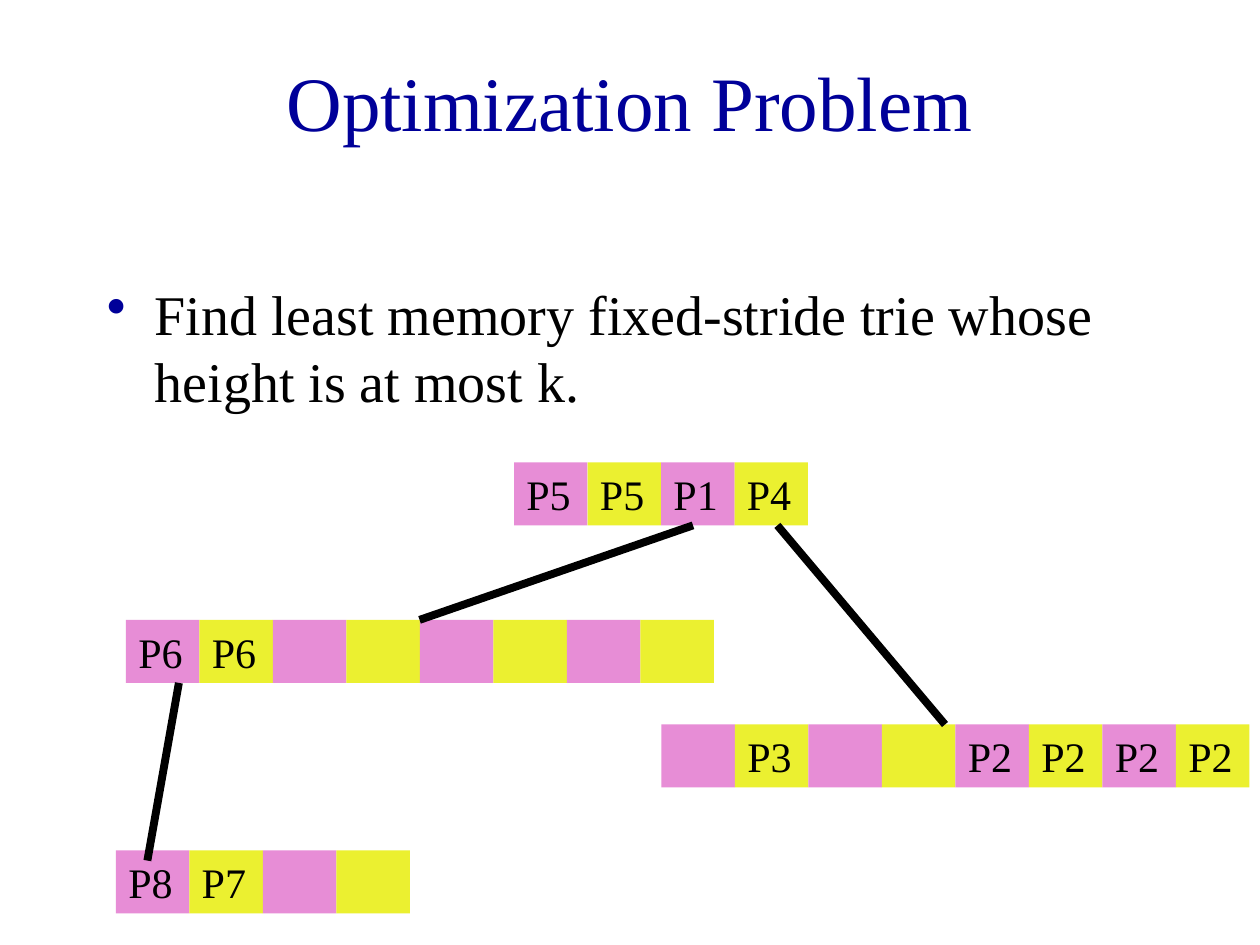
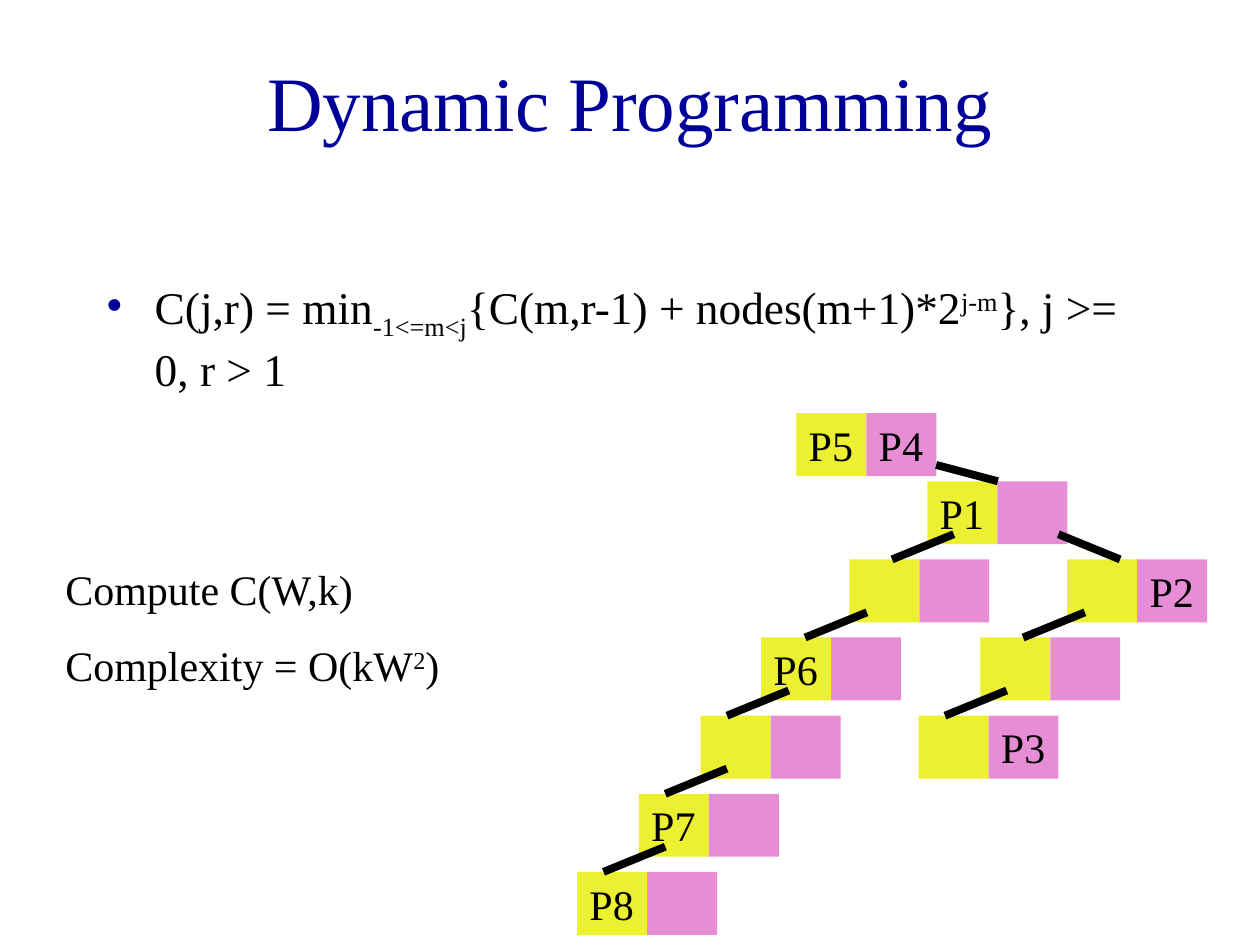
from dataclasses import dataclass

from lxml.etree import SubElement
from pptx import Presentation
from pptx.dml.color import RGBColor
from pptx.enum.shapes import MSO_CONNECTOR, MSO_SHAPE
from pptx.enum.text import MSO_ANCHOR, PP_ALIGN
from pptx.oxml.ns import qn
from pptx.util import Inches, Pt


@dataclass(frozen=True)
class Theme:
    font: str = "Times New Roman"
    navy: str = "000099"
    black: str = "000000"
    pink: str = "E78DD6"
    yellow: str = "EBF030"
    title: float = 44
    body: float = 32
    formula: float = 25.9
    label: float = 24
    line: float = 4.5


def write(frame, *paras, size, color, font, align=PP_ALIGN.LEFT,
          anchor=MSO_ANCHOR.TOP, before=0, bullet=None):
    """Fill a frame; a paragraph is a string or a list of (text, baseline %)."""
    frame.word_wrap = True
    frame.vertical_anchor = anchor
    for i, runs in enumerate(paras):
        para = frame.add_paragraph() if i else frame.paragraphs[0]
        para.alignment = align
        para.space_before = Pt(before)
        if bullet:
            mark(para, bullet)
        for text, base in [(runs, 0)] if isinstance(runs, str) else runs:
            run = para.add_run()
            run.text = text
            run.font.name = font
            run.font.size = Pt(size)
            run.font.color.rgb = RGBColor.from_string(color)
            if base:
                run.font._element.set("baseline", str(base * 1000))


def mark(para, color):
    """Give a paragraph a hanging bullet in the given colour."""
    props = para._p.get_or_add_pPr()
    props.set("marL", str(Inches(0.38)))
    props.set("indent", str(-Inches(0.38)))
    tint = SubElement(props, qn("a:buClr"))
    SubElement(tint, qn("a:srgbClr"), val=color)
    SubElement(props, qn("a:buChar"), char="•")


class Deck:
    def __init__(self, theme):
        self.theme = theme
        self.file = Presentation()
        self.file.slide_width = Inches(10)
        self.file.slide_height = Inches(7.5)
        self.slide = None

    def page(self, title):
        self.slide = self.file.slides.add_slide(self.file.slide_layouts[6])
        self.text((0.75, 0.17, 8.5, 1.25), title, size=self.theme.title,
                  color=self.theme.navy, align=PP_ALIGN.CENTER,
                  anchor=MSO_ANCHOR.MIDDLE)

    def text(self, box, *paras, color=None, **style):
        area = self.slide.shapes.add_textbox(*map(Inches, box))
        write(area.text_frame, *paras, font=self.theme.font,
              color=color or self.theme.black, **style)

    def point(self, text, height, size, before):
        self.text((0.75, 2.17, 8.5, height), text, size=size, before=before,
                  bullet=self.theme.navy)

    def cell(self, left, top, width, fill, label):
        rect = self.slide.shapes.add_shape(
            MSO_SHAPE.RECTANGLE, *map(Inches, (left, top, width, 0.5)))
        rect.shadow.inherit = False
        rect.fill.solid()
        rect.fill.fore_color.rgb = RGBColor.from_string(fill)
        rect.line.fill.background()
        if label:
            write(rect.text_frame, label, size=self.theme.label, before=15,
                  color=self.theme.black, font=self.theme.font)

    def node(self, left, top, width, fills, labels):
        """Draw a trie node: touching cells whose fills alternate."""
        for i, label in enumerate(labels):
            self.cell(left + i * width, top, width, fills[i % 2], label)

    def link(self, start, end):
        line = self.slide.shapes.add_connector(
            MSO_CONNECTOR.STRAIGHT, *map(Inches, (*start, *end)))
        line.line.color.rgb = RGBColor.from_string(self.theme.black)
        line.line.width = Pt(self.theme.line)
        SubElement(line._element.spPr, qn("a:effectLst"))


def problem(deck):
    theme = deck.theme
    deck.page("Optimization Problem")
    deck.point("Find least memory fixed-stride trie whose height is at most k.",
               4.5, theme.body, 8)
    for left, top, labels in (
        (4.08, 3.67, ["P5", "P5", "P1", "P4"]),
        (1, 4.92, ["P6", "P6"] + [""] * 6),
        (5.25, 5.75, ["", "P3", "", ""] + ["P2"] * 4),
        (0.92, 6.75, ["P8", "P7", "", ""]),
    ):
        deck.node(left, top, 7 / 12, (theme.pink, theme.yellow), labels)
    deck.link((6.17, 4.17), (7.5, 5.75))
    deck.link((5.5, 4.17), (3.33, 4.92))
    deck.link((1.42, 5.42), (1.17, 6.83))


def dynamic(deck):
    theme = deck.theme
    deck.page("Dynamic Programming")
    deck.point([("C(j,r) = min", 0), ("-1<=m<j", -25),
                ("{C(m,r-1) + nodes(m+1)*2", 0), ("j-m", 30),
                ("}, j >= 0, r > 1", 0)], 1.08, theme.formula, 7)

    # Level, left edge, labels, where the link lands, and its run from the parent
    nodes = (
        (1, 8.47, ("", "P2"), 0.42, 0.49),
        (1, 6.74, ("", ""), 0.34, -0.49),
        (2, 7.78, ("", ""), 0.34, -0.49),
        (2, 6.04, ("P6", ""), 0.35, -0.49),
        (3, 7.29, ("", "P3"), 0.21, -0.49),
        (3, 5.56, ("", ""), 0.21, -0.49),
        (4, 5.07, ("P7", ""), 0.21, -0.49),
        (5, 4.58, ("P8", ""), 0.21, -0.49),
    )
    top, step, width = 3.82, 0.62, 5 / 9
    fills = theme.yellow, theme.pink
    deck.node(6.32, 3.28, width, fills, ("P5", "P4"))
    deck.node(7.36, top, width, fills, ("P1", ""))
    for level, left, labels, _, _ in nodes:
        deck.node(left, top + level * step, width, fills, labels)
    deck.link((7.43, 3.69), (7.92, top))
    for level, left, _, land, run in nodes:
        x, y = left + land, top + level * step
        deck.link((x - run, y - 0.2), (x, y))

    deck.text((0.42, 4.42, 4.5, 1.11), "Compute C(W,k)",
              [("Complexity = O(kW", 0), ("2", 30), (")", 0)],
              size=theme.label, before=15)


def main():
    deck = Deck(Theme())
    problem(deck)
    dynamic(deck)
    deck.file.save("out.pptx")


if __name__ == "__main__":
    main()
